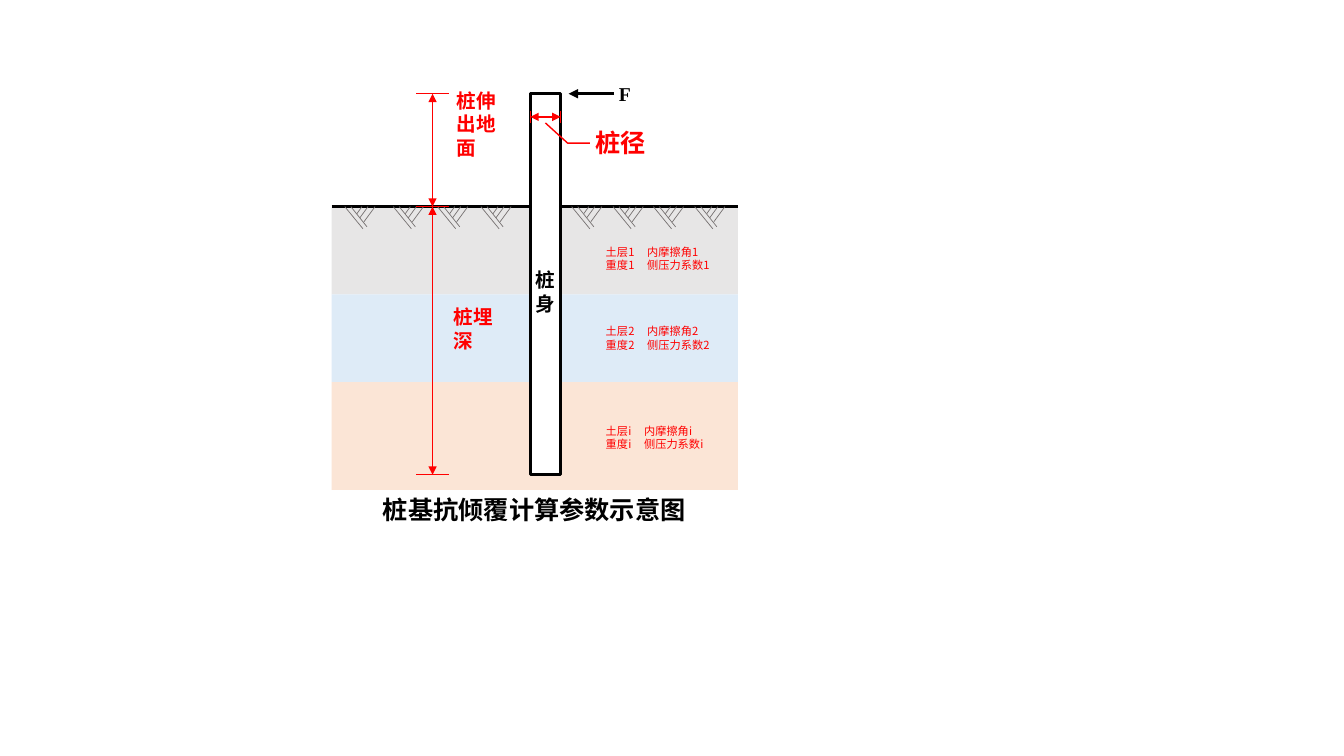
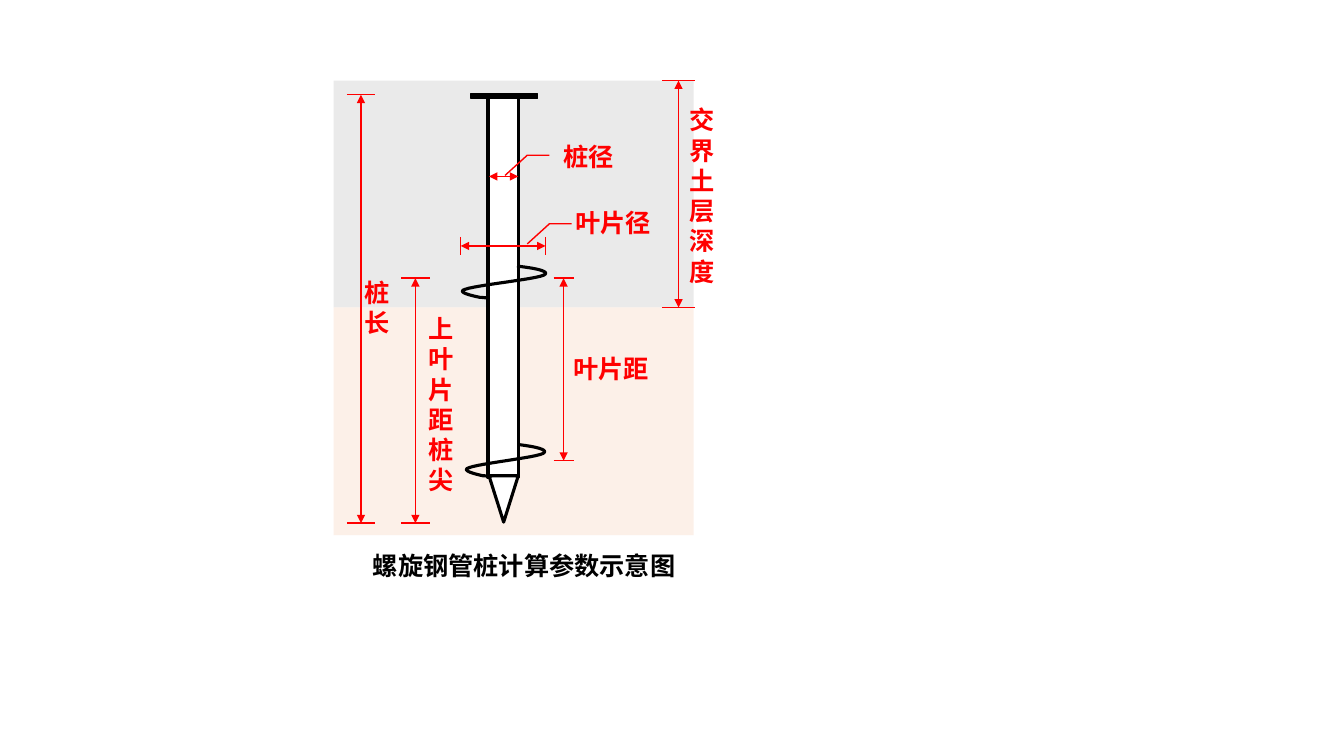
from dataclasses import dataclass
from typing import Any

from pptx import Presentation
from pptx.dml.color import RGBColor
from pptx.enum.shapes import MSO_CONNECTOR, MSO_SHAPE
from pptx.enum.text import MSO_AUTO_SIZE
from pptx.oxml.ns import qn
from pptx.oxml.xmlchemy import OxmlElement
from pptx.util import Inches, Pt


@dataclass(frozen=True)
class Theme:
    ink: str = "000000"
    red: str = "FF0000"
    white: str = "FFFFFF"
    hatch: str = "767171"
    soil_gray: str = "E7E6E6"
    soil_blue: str = "DEEBF7"
    soil_sand: str = "FBE5D6"
    top_soil: str = "D9D9D9"
    font: str = "Noto Sans CJK SC"
    force_font: str = "Times New Roman"
    title: float = 18
    label: float = 14
    note: float = 8
    heavy: float = 2.25
    thin: float = 1
    hair: float = 0.5


T = Theme()
NO_WRAP = {"wrap": False}


def add_xml(parent, tag, **attrs):
    el = OxmlElement(tag)
    for name, value in attrs.items():
        el.set(name, str(value))
    parent.append(el)
    return el


def set_line(sp, color, width):
    sp.line.color.rgb = RGBColor.from_string(color)
    sp.line.width = Pt(width)


@dataclass
class Figure:
    """A drawing area on a slide; all lengths are inches from its corner."""
    slide: Any
    left: float
    top: float
    width: float

    def at(self, x, y):
        return Inches(self.left + x), Inches(self.top + y)

    def shape(self, x, y, w, h, fill, line=None, weight=T.heavy,
              kind=MSO_SHAPE.RECTANGLE, alpha=None):
        sp = self.slide.shapes.add_shape(kind, *self.at(x, y), Inches(w), Inches(h))
        sp.shadow.inherit = False
        sp.fill.solid()
        sp.fill.fore_color.rgb = RGBColor.from_string(fill)
        if alpha is not None:
            clr = sp.fill._xPr.find(qn("a:solidFill"))[0]
            add_xml(clr, "a:alpha", val=alpha * 1000)
        if line:
            set_line(sp, line, weight)
        else:
            sp.line.fill.background()
        return sp

    def line(self, x0, y0, x1, y1, color=T.red, weight=T.thin, arrows=()):
        """arrows names the ends that get a triangle: head, tail or both."""
        cx = self.slide.shapes.add_connector(
            MSO_CONNECTOR.STRAIGHT, *self.at(x0, y0), *self.at(x1, y1))
        set_line(cx, color, weight)
        for end in arrows:
            add_xml(cx.line._get_or_add_ln(), f"a:{end}End", type="triangle")
        add_xml(cx._element.spPr, "a:effectLst")

    def outline(self, points, color, weight):
        start, *rest = [self.at(x, y) for x, y in points]
        fb = self.slide.shapes.build_freeform(*start)
        fb.add_line_segments(rest, close=False)
        sp = fb.convert_to_shape()
        sp.shadow.inherit = False
        sp.fill.background()
        set_line(sp, color, weight)

    def text(self, text, x, y, w, h, size=T.title, color=T.red, bold=True,
             font=T.font, wrap=True, tab=None):
        sp = self.slide.shapes.add_textbox(*self.at(x, y), Inches(w), Inches(h))
        tf = sp.text_frame
        tf.word_wrap = wrap
        tf.auto_size = MSO_AUTO_SIZE.SHAPE_TO_FIT_TEXT
        for i, row in enumerate(text.split("\n")):
            p = tf.paragraphs[0] if i == 0 else tf.add_paragraph()
            r = p.add_run()
            r.text = row
            r.font.size, r.font.bold, r.font.name = Pt(size), bold, font
            r.font.color.rgb = RGBColor.from_string(color)
            add_xml(r._r.get_or_add_rPr(), "a:ea", typeface=font)
            if tab:
                tabs = add_xml(p._p.get_or_add_pPr(), "a:tabLst")
                add_xml(tabs, "a:tab", pos=Inches(tab), algn="l")

    def dimension(self, x0, y0, x1, y1, tick=0.0, ends=(0, 1)):
        """Double-headed arrow with cross ticks of the given half length."""
        self.line(x0, y0, x1, y1, arrows=("head", "tail"))
        dx, dy = (tick, 0) if x0 == x1 else (0, tick)
        if tick:
            for end in ends:
                x, y = ((x0, y0), (x1, y1))[end]
                self.line(x - dx, y - dy, x + dx, y + dy)

    def leader(self, x, y, rise):
        step = 0.22
        self.outline([(x, y), (x + step, y + rise), (x + 2 * step, y + rise)],
                     T.red, T.thin)

    def soil(self, y, layers, alpha=None):
        for height, color in layers:
            self.shape(0, y, self.width, height, color, alpha=alpha)
            y += height

    def caption(self, text, x, y):
        self.text(text, x, y, 3.25, 0.4, color=T.ink, **NO_WRAP)


def ground_mark(fig, x, y):
    """Hatching that marks a natural ground surface."""
    strokes = [(0, 0, 0.18, 0.22), (0.06, 0, 0.22, 0.2), (0.12, 0.07, 0.17, 0),
               (0.15, 0.11, 0.23, 0), (0.19, 0.15, 0.3, 0)]
    for x0, y0, x1, y1 in strokes:
        fig.line(x + x0, y + y0, x + x1, y + y1, T.hatch, T.hair)


def helix_blade(fig, x, y, w, h, steps=12):
    """One turn of the blade, as sampled cubic curves filling the box."""
    knots = [(0.33, 0.97), (0.29, 1), (0.27, 0.97), (0.22, 0.97),
             (0.16, 0.94), (-0.08, 0.81), (0.04, 0.72),
             (0.17, 0.59), (0.87, 0.41), (0.98, 0.28),
             (1.07, 0.16), (0.87, 0.06), (0.66, 0)]
    points = [knots[0]]
    for k in range(0, len(knots) - 1, 3):
        curve = knots[k:k + 4]
        for i in range(1, steps + 1):
            t = i / steps
            weights = ((1 - t) ** 3, 3 * t * (1 - t) ** 2, 3 * t * t * (1 - t), t ** 3)
            points.append(tuple(sum(b * c[axis] for b, c in zip(weights, curve))
                                for axis in (0, 1)))
    fig.outline([(x + px * w, y + py * h) for px, py in points], T.ink, T.heavy)


def overturning_figure(fig):
    ground, toe, pile_x, pile_w = 1.12, 3.78, 1.97, 0.3
    fig.soil(ground, [(0.87, T.soil_gray), (0.87, T.soil_blue), (1.07, T.soil_sand)])
    fig.line(0, ground, fig.width, ground, T.ink, T.heavy)
    fig.shape(pile_x, 0, pile_w, toe, T.white, T.ink)
    for x in (0.13, 0.61, 1.05, 1.48, 2.38, 2.79, 3.19, 3.6):
        ground_mark(fig, x, ground)

    fig.dimension(1, ground, 1, toe, 0.16, ends=(1,))
    fig.dimension(1, 0, 1, ground, 0.16)
    fig.text("桩埋深", 1.11, 2.05, 0.6, 0.81, T.label)
    fig.text("桩伸出地面", 1.14, -0.1, 0.6, 1.28, T.label)

    for n, y, tab in (("1", 1.45, 0.41), ("2", 2.24, 0.41), ("i", 3.23, 0.38)):
        fig.text(f"土层{n}\t内摩擦角{n}\n重度{n}\t侧压力系数{n}", 2.62, y, 1.43, 0.37,
                 T.note, bold=False, tab=tab)

    fig.line(2.8, 0, 2.35, 0, T.ink, T.heavy, arrows=("tail",))
    fig.text("F", 2.75, -0.17, 0.37, 0.34, T.label, T.ink, font=T.force_font)
    fig.text("桩身", 1.92, 1.68, 0.42, 0.57, T.label, T.ink)
    fig.dimension(pile_x, 0.23, pile_x + pile_w, 0.23, 0.06)
    fig.leader(2.12, 0.29, 0.2)
    fig.text("桩径", 2.52, 0.28, 0.71, 0.4, **NO_WRAP)
    fig.caption("桩基抗倾覆计算参数示意图", 0.41, 3.92)


def screw_pile_figure(fig):
    head, tip, upper_blade, lower_blade, interface = 0.14, 4.39, 1.96, 3.77, 2.25
    fig.soil(0, [(interface, T.top_soil), (2.26, T.soil_sand)], alpha=54)
    fig.shape(1.53, 0.16, 0.3, 3.78, T.white, T.ink)
    cone = fig.shape(1.54, 3.92, 0.29, 0.46, T.white, T.ink,
                     kind=MSO_SHAPE.ISOSCELES_TRIANGLE)
    cone.rotation = 180
    helix_blade(fig, 1.31, 3.61, 0.78, 0.32)
    helix_blade(fig, 1.27, 1.84, 0.83, 0.32)
    fig.shape(1.36, 0.13, 0.66, 0.05, T.ink, T.ink, T.thin)

    for x, y0, y1, tick in ((0.27, head, tip, 0.14),
                            (0.81, upper_blade, tip, 0.14),
                            (2.28, upper_blade, lower_blade, 0.1),
                            (3.42, 0, interface, 0.16)):
        fig.dimension(x, y0, x, y1, tick)
    fig.dimension(1.83, 0.95, 1.54, 0.95)
    fig.leader(1.7, 0.94, -0.2)
    fig.dimension(2.1, 1.64, 1.26, 1.64, 0.09)
    fig.leader(1.92, 1.62, -0.2)

    for text, x, y, w in (("叶片距", 2.28, 2.66, 0.96), ("叶片径", 2.3, 1.21, 0.96),
                          ("桩径", 2.18, 0.55, 0.71)):
        fig.text(text, x, y, w, 0.4, **NO_WRAP)
    for text, x, y, w, h in (("上叶片距桩尖", 0.84, 2.26, 0.51, 1.92),
                             ("桩长", 0.21, 1.9, 0.51, 0.71),
                             ("交界土层深度", 3.43, 0.19, 0.59, 1.92)):
        fig.text(text, x, y, w, h)
    fig.caption("螺旋钢管桩计算参数示意图", 0.29, 4.61)


def main():
    prs = Presentation()
    prs.slide_width, prs.slide_height = Inches(13.33), Inches(7.5)
    for draw, left, top, width in ((overturning_figure, 3.29, 0.93, 4.03),
                                   (screw_pile_figure, 3.31, 0.8, 3.57)):
        s = prs.slides.add_slide(prs.slide_layouts[6])
        draw(Figure(s, left, top, width))
    prs.save("out.pptx")


if __name__ == "__main__":
    main()
